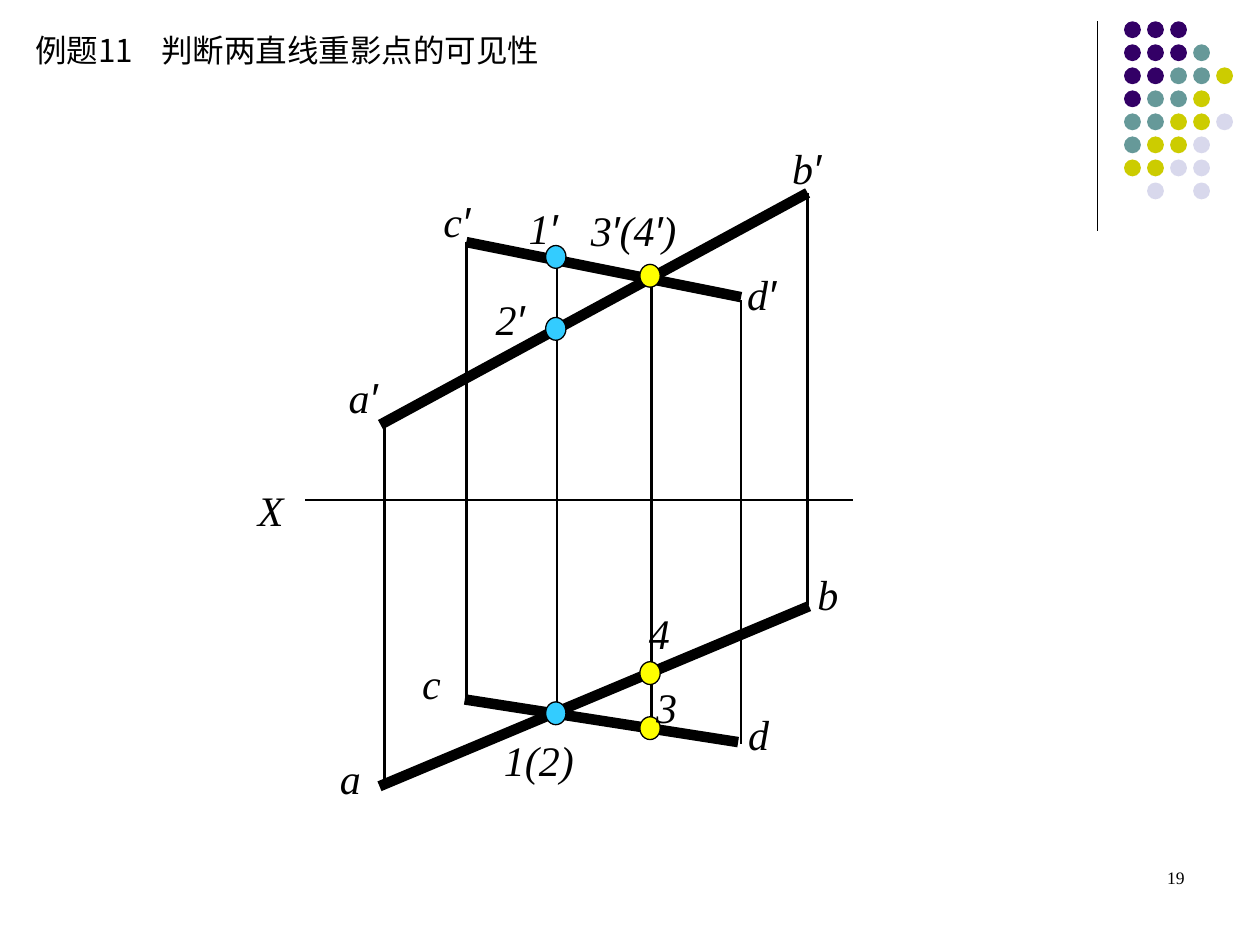
from itertools import groupby

from lxml.etree import SubElement
from pptx import Presentation
from pptx.dml.color import RGBColor
from pptx.enum.shapes import MSO_CONNECTOR as Link, MSO_SHAPE as Shape
from pptx.enum.text import PP_ALIGN as Align
from pptx.oxml.ns import qn
from pptx.util import Cm, Pt

BLACK = RGBColor(0x00, 0x00, 0x00)
PURPLE = RGBColor(0x33, 0x00, 0x66)
TEAL = RGBColor(0x66, 0x99, 0x99)
OLIVE = RGBColor(0xCC, 0xCC, 0x00)
PALE = RGBColor(0xD8, 0xD8, 0xEC)
YELLOW = RGBColor(0xFF, 0xFF, 0x00)
BLUE = RGBColor(0x33, 0xCC, 0xFF)

LABEL = {"name": "Times New Roman", "size": Pt(24), "italic": True}
PRIME = {**LABEL, "name": "Arial"}
TITLE = {"name": "Noto Sans CJK SC", "size": Pt(18)}
NUMBER = {"name": "Times New Roman", "size": Pt(10)}


class Board:
    """Holds the line weights and the slide being drawn on."""

    thin, mid, thick = Pt(0.75), Pt(1.5), Pt(6)

    def __init__(self, slide):
        self.slide = slide
        self.shapes = slide.shapes

    def line(self, x1, y1, x2, y2, width):
        link = self.shapes.add_connector(
            Link.STRAIGHT, Cm(x1), Cm(y1), Cm(x2), Cm(y2))
        link.line.color.rgb = BLACK
        link.line.width = width
        SubElement(link._element.spPr, qn("a:effectLst"))

    def dot(self, x, y, wide, high, fill, edge=True):
        dot = self.shapes.add_shape(
            Shape.OVAL, Cm(x), Cm(y), Cm(wide), Cm(high))
        dot.shadow.inherit = False
        dot.fill.solid()
        dot.fill.fore_color.rgb = fill
        if edge:
            dot.line.color.rgb = BLACK
            dot.line.width = self.thin
        else:
            dot.line.fill.background()

    def text(self, x, y, wide, high, runs, align=Align.LEFT, tab=None):
        """Write (text, style) runs as one paragraph."""
        box = self.shapes.add_textbox(Cm(x), Cm(y), Cm(wide), Cm(high))
        box.text_frame.word_wrap = True
        para = box.text_frame.paragraphs[0]
        para.alignment = align
        if tab:
            stops = SubElement(para._p.get_or_add_pPr(), qn("a:tabLst"))
            SubElement(stops, qn("a:tab"), pos=str(Cm(tab)), algn="l")
        for words, style in runs:
            run = para.add_run()
            run.text = words
            for key, value in style.items():
                setattr(run.font, key, value)
            run.font.color.rgb = BLACK
            SubElement(run._r.get_or_add_rPr(), qn("a:ea"),
                       typeface=style["name"])

    def label(self, words, x, y, wide, align=Align.LEFT):
        """Write a point name, with its prime marks in their own font."""
        runs = [("".join(part), PRIME if prime else LABEL)
                for prime, part in groupby(words, lambda sign: sign == "′")]
        self.text(x, y, wide, 1.27, runs, align)


def draw_corner(board):
    board.line(22.12, 0.43, 22.12, 4.65, board.thin)
    fills = {"P": PURPLE, "T": TEAL, "O": OLIVE, "L": PALE}
    rows = ["PPP", "PPPT", "PPTTO", "PTTO", "TTOOL", "TOOL", "OOLL", ".L.L"]
    step = 3.25 / 7
    for j, row in enumerate(rows):
        for i, key in enumerate(row):
            if key in fills:
                board.dot(22.66 + i * step, 0.43 + j * step, 0.34, 0.34,
                          fills[key], edge=False)


def draw_lines(board):
    uprights = [
        (16.28, 3.89, 12.19), (14.94, 6.05, 14.99), (9.4, 4.88, 14.1),
        (7.75, 8.56, 15.82), (13.13, 5.54, 14.63), (11.23, 5.05, 14.4)]
    for x, top, end in uprights:
        board.line(x, top, x, end, board.mid)
    board.line(6.15, 10.08, 17.2, 10.08, board.mid)
    bars = [
        (16.28, 3.89, 7.67, 8.56), (7.65, 15.85, 16.31, 12.22),
        (9.37, 14.1, 14.88, 14.96), (9.4, 4.88, 14.94, 5.99)]
    for bar in bars:
        board.line(*bar, board.thick)


def draw_points(board):
    points = [(12.9, YELLOW, (5.33, 13.34, 14.45)),
              (11, BLUE, (4.95, 6.4, 14.15))]
    for x, fill, tops in points:
        for y in tops:
            board.dot(x, y, 0.41, 0.46, fill)


def draw_labels(board):
    labels = [
        ("b′", 15.72, 2.74, 2.26), ("b", 16.23, 11.33, 2.74),
        ("c′", 8.69, 3.81, 2.13), ("c", 8.26, 13.13, 2.13),
        ("d′", 14.81, 5.28, 2.13), ("d", 14.83, 14.15, 2.13),
        ("a′", 6.78, 7.37, 2.13), ("a", 6.6, 15.04, 2.67),
        ("X", 4.95, 9.65, 3.53), ("3′(4′)", 11.66, 3.99, 3.71),
        ("3", 12.98, 13.61, 1.07), ("4", 12.83, 12.12, 1.07),
        ("1′", 9.78, 3.96, 2.34, Align.CENTER),
        ("2′", 9.27, 5.79, 2.03, Align.CENTER),
        ("1(2)", 9.91, 14.68, 3.68)]
    for label in labels:
        board.label(*label)


def main():
    deck = Presentation()
    deck.slide_width, deck.slide_height = Cm(25.4), Cm(19.05)
    board = Board(deck.slides.add_slide(deck.slide_layouts[6]))
    draw_corner(board)
    draw_lines(board)
    draw_points(board)
    draw_labels(board)
    board.text(0.46, 0.51, 11.1, 1.02,
               [("例题11\t判断两直线重影点的可见性", TITLE)], tab=2.54)
    board.text(18.21, 17.35, 5.92, 1.27, [("19", NUMBER)], Align.RIGHT)
    deck.save("out.pptx")


if __name__ == "__main__":
    main()
